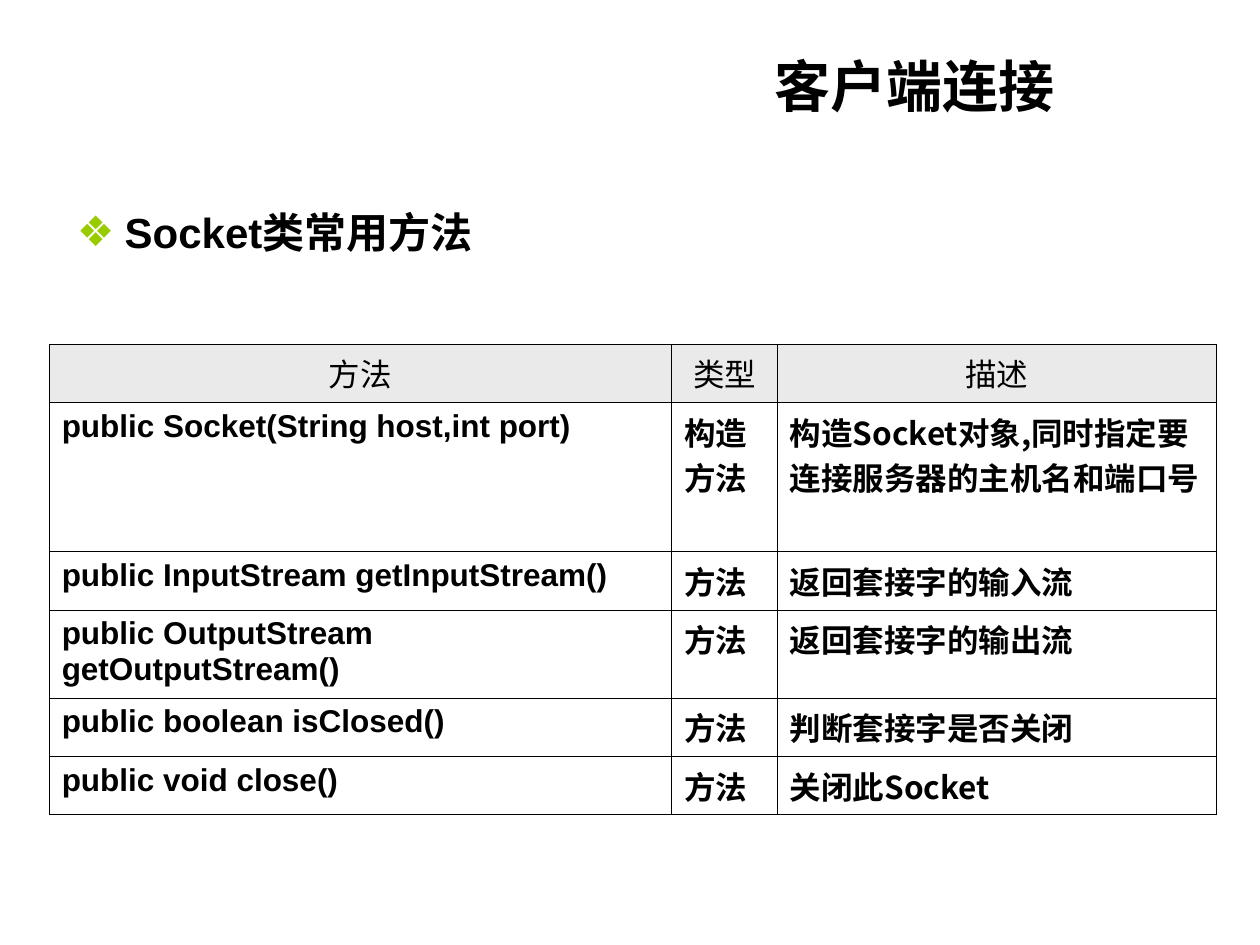
from lxml import etree
from pptx import Presentation
from pptx.dml.color import RGBColor
from pptx.enum.text import MSO_ANCHOR, MSO_AUTO_SIZE, PP_ALIGN
from pptx.oxml.ns import qn
from pptx.util import Inches, Pt

CENTER, LEFT, RIGHT = PP_ALIGN.CENTER, PP_ALIGN.LEFT, PP_ALIGN.RIGHT
MIDDLE, TOP = MSO_ANCHOR.MIDDLE, MSO_ANCHOR.TOP
FIT_SHAPE, NO_FIT = MSO_AUTO_SIZE.SHAPE_TO_FIT_TEXT, MSO_AUTO_SIZE.NONE

TITLE = "客户端连接"
TOPIC = "Socket类常用方法"
HEADER = ("方法", "类型", "描述")
METHODS = [
    ("public Socket(String host,int port)", "构造方法",
     "构造Socket对象,同时指定要连接服务器的主机名和端口号"),
    ("public InputStream getInputStream()", "方法", "返回套接字的输入流"),
    ("public OutputStream getOutputStream()", "方法", "返回套接字的输出流"),
    ("public boolean isClosed()", "方法", "判断套接字是否关闭"),
    ("public void close()", "方法", "关闭此Socket"),
]

THEME = {
    "latin": "Arial", "cjk": "Noto Sans CJK SC",
    "text": "000000", "bullet": "99CC00", "header": "EAEAEA", "border": "000000",
    "title_size": 32, "topic_size": 24, "table_size": 18, "border_width": 0.45,
}
TITLE_BOX = (2.56, 0.36, 5.91, 0.63)
TOPIC_BOX = (0.51, 1.59, 4.72, 0.5)
TABLE_LEFT, TABLE_TOP = 0.39, 2.73
COLUMN_WIDTHS = (4.94, 0.84, 3.48)
ROW_HEIGHTS = (0.4, 1, 0.4, 0.7, 0.4, 0.4)
TOPIC_INDENT = 0.38


def apply(target, values):
    for name, value in values.items():
        setattr(target, name, value)


def write(frame, text, size, font=THEME["latin"], bold=True, align=LEFT):
    paragraph = frame.paragraphs[0]
    paragraph.alignment = align
    run = paragraph.add_run()
    run.text = text
    apply(run.font, {"size": Pt(size), "bold": bold, "name": font})
    run.font.color.rgb = RGBColor.from_string(THEME["text"])
    east_asian = etree.SubElement(run.font._element, qn("a:ea"))
    east_asian.set("typeface", THEME["cjk"])
    return paragraph


def place(shape, box):
    apply(shape, dict(zip(("left", "top", "width", "height"), map(Inches, box))))


def add_bullet(paragraph, character, color):
    properties = paragraph._p.get_or_add_pPr()
    properties.set("marL", str(Inches(TOPIC_INDENT)))
    properties.set("indent", str(-Inches(TOPIC_INDENT)))
    bullet_color = etree.SubElement(properties, qn("a:buClr"))
    etree.SubElement(bullet_color, qn("a:srgbClr")).set("val", color)
    etree.SubElement(properties, qn("a:buChar")).set("char", character)


def draw_borders(cell):
    properties = cell._tc.get_or_add_tcPr()
    for position, side in enumerate(("lnL", "lnR", "lnT", "lnB")):
        line = etree.Element(qn(f"a:{side}"), w=str(Pt(THEME["border_width"])))
        fill = etree.SubElement(line, qn("a:solidFill"))
        etree.SubElement(fill, qn("a:srgbClr")).set("val", THEME["border"])
        properties.insert(position, line)


def add_methods_table(slide):
    rows = [HEADER, *METHODS]
    table = slide.shapes.add_table(
        len(rows), len(HEADER), Inches(TABLE_LEFT), Inches(TABLE_TOP),
        Inches(sum(COLUMN_WIDTHS)), Inches(sum(ROW_HEIGHTS))).table
    apply(table, {"first_row": False, "horz_banding": False})
    for column, width in zip(table.columns, COLUMN_WIDTHS):
        column.width = Inches(width)
    for row, height in zip(table.rows, ROW_HEIGHTS):
        row.height = Inches(height)

    for row_index, texts in enumerate(rows):
        is_header = row_index == 0
        for column_index, text in enumerate(texts):
            cell = table.cell(row_index, column_index)
            uses_latin = is_header or column_index == 0
            write(cell.text_frame, text, THEME["table_size"],
                  font=THEME["latin" if uses_latin else "cjk"],
                  bold=not is_header, align=CENTER if is_header else LEFT)
            if is_header:
                cell.fill.solid()
                cell.fill.fore_color.rgb = RGBColor.from_string(THEME["header"])
            else:
                cell.fill.background()
            draw_borders(cell)


def main():
    deck = Presentation()
    apply(deck, {"slide_width": Inches(10), "slide_height": Inches(7.5)})
    slide = deck.slides.add_slide(deck.slide_layouts[1])

    title, topic = slide.placeholders
    place(title, TITLE_BOX)
    write(title.text_frame, TITLE, THEME["title_size"], align=RIGHT)
    apply(title.text_frame, {"vertical_anchor": MIDDLE, "auto_size": FIT_SHAPE})

    place(topic, TOPIC_BOX)
    heading = write(topic.text_frame, TOPIC, THEME["topic_size"])
    add_bullet(heading, "❖", THEME["bullet"])
    apply(topic.text_frame, {"vertical_anchor": TOP, "auto_size": NO_FIT})

    add_methods_table(slide)
    deck.save("out.pptx")


if __name__ == "__main__":
    main()
